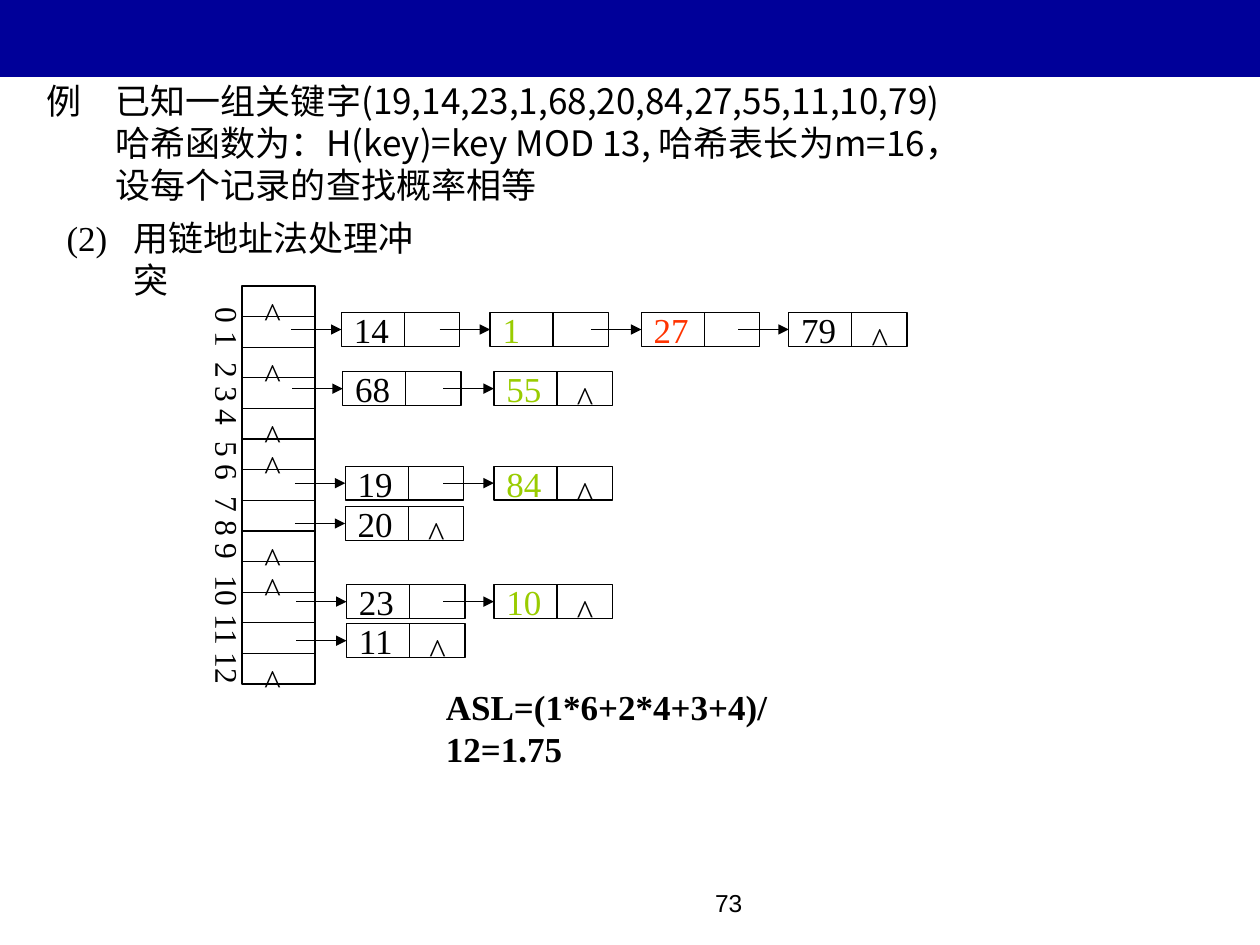
import pptx
import pptx.util
import pptx.dml.color
import pptx.enum.shapes
import pptx.enum.text
from pptx.util import Inches, Pt
from pptx.dml.color import RGBColor
from pptx.oxml.ns import qn
from lxml import etree

BLACK = RGBColor(0x00, 0x00, 0x00)
NAVY = RGBColor(0x00, 0x00, 0x99)
GREEN = RGBColor(0x99, 0xCC, 0x00)
RED = RGBColor(0xFF, 0x33, 0x00)
SERIF, CJK, SANS = "Times New Roman", "Noto Sans CJK SC", "Arial"
RECTANGLE = pptx.enum.shapes.MSO_SHAPE.RECTANGLE
STRAIGHT = pptx.enum.shapes.MSO_CONNECTOR.STRAIGHT

# Bucket column
BUCKETS = 13
TABLE_X, TABLE_Y, TABLE_W, CELL_H = 1.92, 2.27, 0.58, 0.243
# Chain nodes
NODE_W, NODE_H, DIVIDER, ARROW = 0.94, 0.27, 0.5, 0.4
COLOURS = (BLACK, GREEN, RED, BLACK)  # by position in the chain
# bucket: (top, [(left, key), ...])
CHAINS = {
    1: (2.48, [(2.71, 14), (3.89, 1), (5.09, 27), (6.26, 79)]),
    3: (2.95, [(2.72, 68), (3.92, 55)]),
    6: (3.70, [(2.74, 19), (3.92, 84)]),
    7: (4.02, [(2.74, 20)]),
    10: (4.64, [(2.75, 23), (3.92, 10)]),
    11: (4.95, [(2.75, 11)]),
}


def style_runs(tf, size, font, colour=BLACK, bold=False):
    for p in tf.paragraphs:
        for r in p.runs:
            r.font.size = Pt(size)
            r.font.name = font
            r.font.color.rgb = colour
            r.font.bold = bold
            ea = etree.SubElement(r._r.get_or_add_rPr(), qn("a:ea"))
            ea.set("typeface", CJK)


def add_text(s, x, y, w, h, text, size=20, font=SERIF, bold=False, wrap=False):
    box = s.shapes.add_textbox(Inches(x), Inches(y), Inches(w), Inches(h))
    tf = box.text_frame
    tf.text = text
    tf.word_wrap = wrap
    style_runs(tf, size, font, bold=bold)
    return tf


def indent_lines(tf, indent):
    """Indent every line; the first one hangs and tabs to the indent."""
    tf.margin_top = Inches(0.08)
    for i, p in enumerate(tf.paragraphs):
        p.line_spacing = Pt(24)
        pPr = p._p.get_or_add_pPr()
        pPr.set("marL", str(Inches(indent)))
        pPr.set("indent", str(-Inches(indent) if i == 0 else 0))


def add_rect(s, x, y, w, h, fill=None):
    rect = s.shapes.add_shape(RECTANGLE, Inches(x), Inches(y), Inches(w), Inches(h))
    rect.shadow.inherit = False
    if fill is None:
        rect.fill.background()
        rect.line.color.rgb = BLACK
        rect.line.width = Pt(0.75)
    else:
        rect.fill.solid()
        rect.fill.fore_color.rgb = fill
        rect.line.fill.background()
    return rect


def add_line(s, x1, y1, x2, y2, arrow=False):
    line = s.shapes.add_connector(STRAIGHT, Inches(x1), Inches(y1), Inches(x2), Inches(y2))
    line.line.color.rgb = BLACK
    line.line.width = Pt(0.75)
    if arrow:
        etree.SubElement(line.line._get_or_add_ln(), qn("a:tailEnd")).set("type", "triangle")
    etree.SubElement(line._element.spPr, qn("a:effectLst"))
    return line


def add_null(s, x, y):
    add_text(s, x, y, 0.33, 0.44, "^")


def add_node(s, x, y, key, colour):
    node = add_rect(s, x, y, NODE_W, NODE_H)
    tf = node.text_frame
    tf.text = str(key)
    tf.word_wrap = False
    tf.vertical_anchor = pptx.enum.text.MSO_ANCHOR.MIDDLE
    tf.paragraphs[0].alignment = pptx.enum.text.PP_ALIGN.LEFT
    style_runs(tf, 20, SERIF, colour)
    add_line(s, x + DIVIDER, y, x + DIVIDER, y + NODE_H)
    middle = y + NODE_H / 2
    add_line(s, x - ARROW, middle, x, middle, arrow=True).end_connect(node, 1)


def add_buckets(s):
    add_rect(s, TABLE_X, TABLE_Y, TABLE_W, BUCKETS * CELL_H)
    for i in range(BUCKETS):
        y = TABLE_Y + i * CELL_H
        if i:
            add_line(s, TABLE_X, y, TABLE_X + TABLE_W, y)
        if i not in CHAINS:
            add_null(s, 2, y)
    tf = add_text(s, 1.51, 2.34, 0.5, 3.17, "0 1  2 3 4  5 6  7 8 9  10 11 12", size=18)
    tf.margin_left = tf.margin_right = Inches(0.05)
    tf.margin_top = tf.margin_bottom = Inches(0.1)
    tf._txBody.bodyPr.set("vert", "eaVert")


def add_chains(s):
    for y, nodes in CHAINS.values():
        for (x, key), colour in zip(nodes, COLOURS):
            add_node(s, x, y, key, colour)
        add_null(s, nodes[-1][0] + 0.56, y - 0.01)


def main():
    prs = pptx.Presentation()
    prs.slide_width, prs.slide_height = Inches(10), Inches(7.5)
    s = prs.slides.add_slide(prs.slide_layouts[6])

    # Title band and page number
    add_rect(s, 0, 0, 10, 0.61, fill=NAVY)
    number = add_text(s, 3.91, 7, 2.08, 0.5, "73", size=14, font=SANS, wrap=True)
    number.paragraphs[0].alignment = pptx.enum.text.PP_ALIGN.RIGHT

    # Problem statement and method
    problem = add_text(s, 0.27, 0.55, 9.29, 1.1,
                       "例\t已知一组关键字(19,14,23,1,68,20,84,27,55,11,10,79)\n"
                       "哈希函数为：H(key)=key MOD 13, 哈希表长为m=16，\n"
                       "设每个记录的查找概率相等", font=CJK, wrap=True)
    indent_lines(problem, 0.55)
    method = add_text(s, 0.43, 1.64, 3.23, 0.44, "(2)\t用链地址法处理冲突", wrap=True)
    indent_lines(method, 0.53)

    # Hash table with chains
    add_buckets(s)
    add_chains(s)

    # Average search length
    add_text(s, 3.44, 5.39, 3.67, 0.44, "ASL=(1*6+2*4+3+4)/12=1.75", bold=True)

    prs.save("out.pptx")


if __name__ == "__main__":
    main()
